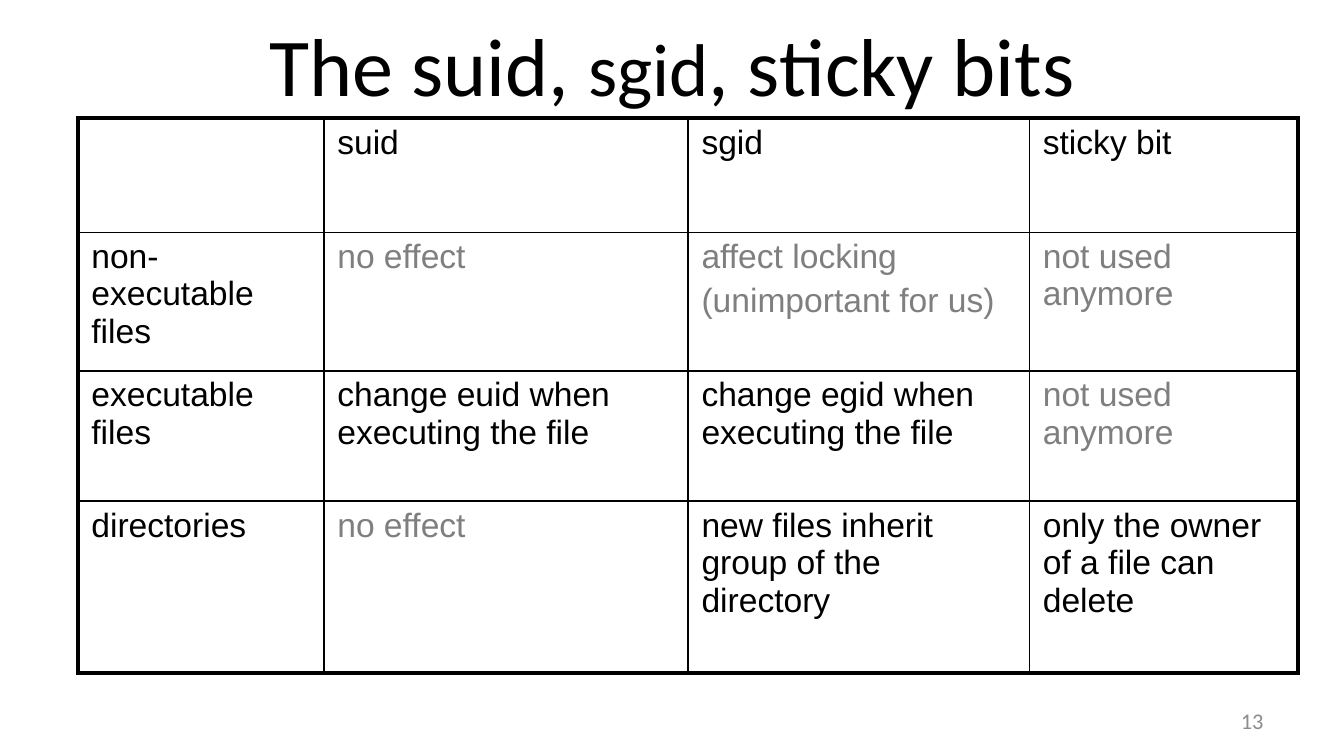
from dataclasses import dataclass

from lxml import etree
from pptx import Presentation
from pptx.dml.color import RGBColor
from pptx.enum.text import MSO_ANCHOR, PP_ALIGN
from pptx.oxml.ns import qn
from pptx.util import Inches, Pt

MIDDLE = MSO_ANCHOR.MIDDLE
CENTER = PP_ALIGN.CENTER
RIGHT = PP_ALIGN.RIGHT
TITLE_ONLY = 5


@dataclass(frozen=True)
class Theme:
    ink: str = "000000"
    muted: str = "7F7F7F"
    number: str = "8C8C8C"
    heading_font: str = "Calibri"
    table_font: str = "Arial"
    title_size: float = 44
    small_title_size: float = 40
    table_size: float = 18
    number_size: float = 12
    outer_line: float = 2.25
    inner_line: float = 1


@dataclass(frozen=True)
class Entry:
    text: str = ""
    muted: bool = False


THEME = Theme()
COLUMN_WIDTHS = (1.83, 2.71, 2.54, 2)
ROW_HEIGHTS = (0.85, 1.03, 0.97, 1.28)
NO_EFFECT = Entry("no effect", muted=True)
NOT_USED = Entry("not used anymore", muted=True)
ENTRIES = (
    (Entry(), Entry("suid"), Entry("sgid"), Entry("sticky bit")),
    (
        Entry("non-executable files"),
        NO_EFFECT,
        Entry("affect locking\n(unimportant for us)", muted=True),
        NOT_USED,
    ),
    (
        Entry("executable files"),
        Entry("change euid when executing the file"),
        Entry("change egid when executing the file"),
        NOT_USED,
    ),
    (
        Entry("directories"),
        NO_EFFECT,
        Entry("new files inherit group of the directory"),
        Entry("only the owner of a file can delete"),
    ),
)


def style_font(font, name: str, size: float, color: str) -> None:
    font.name = name
    font.size = Pt(size)
    font.color.rgb = RGBColor.from_string(color)


def draw_borders(cell, outer_edges: dict[str, bool]) -> None:
    properties = cell._tc.get_or_add_tcPr()
    for edge, is_outer in outer_edges.items():
        width = THEME.outer_line if is_outer else THEME.inner_line
        line = etree.SubElement(properties, qn(f"a:ln{edge}"), w=str(Pt(width)))
        fill = etree.SubElement(line, qn("a:solidFill"))
        etree.SubElement(fill, qn("a:srgbClr"), val=THEME.ink)


def fill_cell(cell, entry: Entry) -> None:
    cell.fill.background()
    cell.margin_left = cell.margin_right = Inches(0.1)
    cell.margin_top = cell.margin_bottom = Inches(0.04)
    cell.text = entry.text
    color = THEME.muted if entry.muted else THEME.ink
    for index, para in enumerate(cell.text_frame.paragraphs):
        style_font(para.font, THEME.table_font, THEME.table_size, color)
        if index:
            para.space_before = Pt(0.2 * THEME.table_size)


def add_title(page) -> None:
    title = page.shapes.title
    title.left, title.top = Inches(0.5), Inches(0)
    title.width, title.height = Inches(9), Inches(0.94)
    title.text_frame.vertical_anchor = MIDDLE
    para = title.text_frame.paragraphs[0]
    para.alignment = CENTER
    for text, size in (
        ("The suid, ", THEME.title_size),
        ("sgid", THEME.small_title_size),
        (", sticky bits", THEME.title_size),
    ):
        span = para.add_run()
        span.text = text
        style_font(span.font, THEME.heading_font, size, THEME.ink)


def add_bits_table(page) -> None:
    last_row, last_column = len(ROW_HEIGHTS) - 1, len(COLUMN_WIDTHS) - 1
    table = page.shapes.add_table(
        len(ROW_HEIGHTS), len(COLUMN_WIDTHS), Inches(0.58), Inches(0.88),
        Inches(sum(COLUMN_WIDTHS)), Inches(sum(ROW_HEIGHTS)),
    ).table
    table.first_row = table.horz_banding = False
    for column, width in zip(table.columns, COLUMN_WIDTHS):
        column.width = Inches(width)
    for row, height in zip(table.rows, ROW_HEIGHTS):
        row.height = Inches(height)
    for r, entries in enumerate(ENTRIES):
        for c, entry in enumerate(entries):
            cell = table.cell(r, c)
            draw_borders(cell, {
                "L": c == 0,
                "R": c == last_column,
                "T": r == 0,
                "B": r == last_row,
            })
            fill_cell(cell, entry)


def add_page_number(page) -> None:
    box = page.shapes.add_textbox(Inches(7.17), Inches(5.21), Inches(2.33), Inches(0.3))
    frame = box.text_frame
    frame.word_wrap = True
    frame.vertical_anchor = MIDDLE
    para = frame.paragraphs[0]
    para.text = "13"
    para.alignment = RIGHT
    style_font(para.font, THEME.heading_font, THEME.number_size, THEME.number)


deck = Presentation()
deck.slide_width = Inches(10)
deck.slide_height = deck.slide_width * 9 // 16
page = deck.slides.add_slide(deck.slide_layouts[TITLE_ONLY])
add_page_number(page)
add_title(page)
add_bits_table(page)
deck.save("out.pptx")
